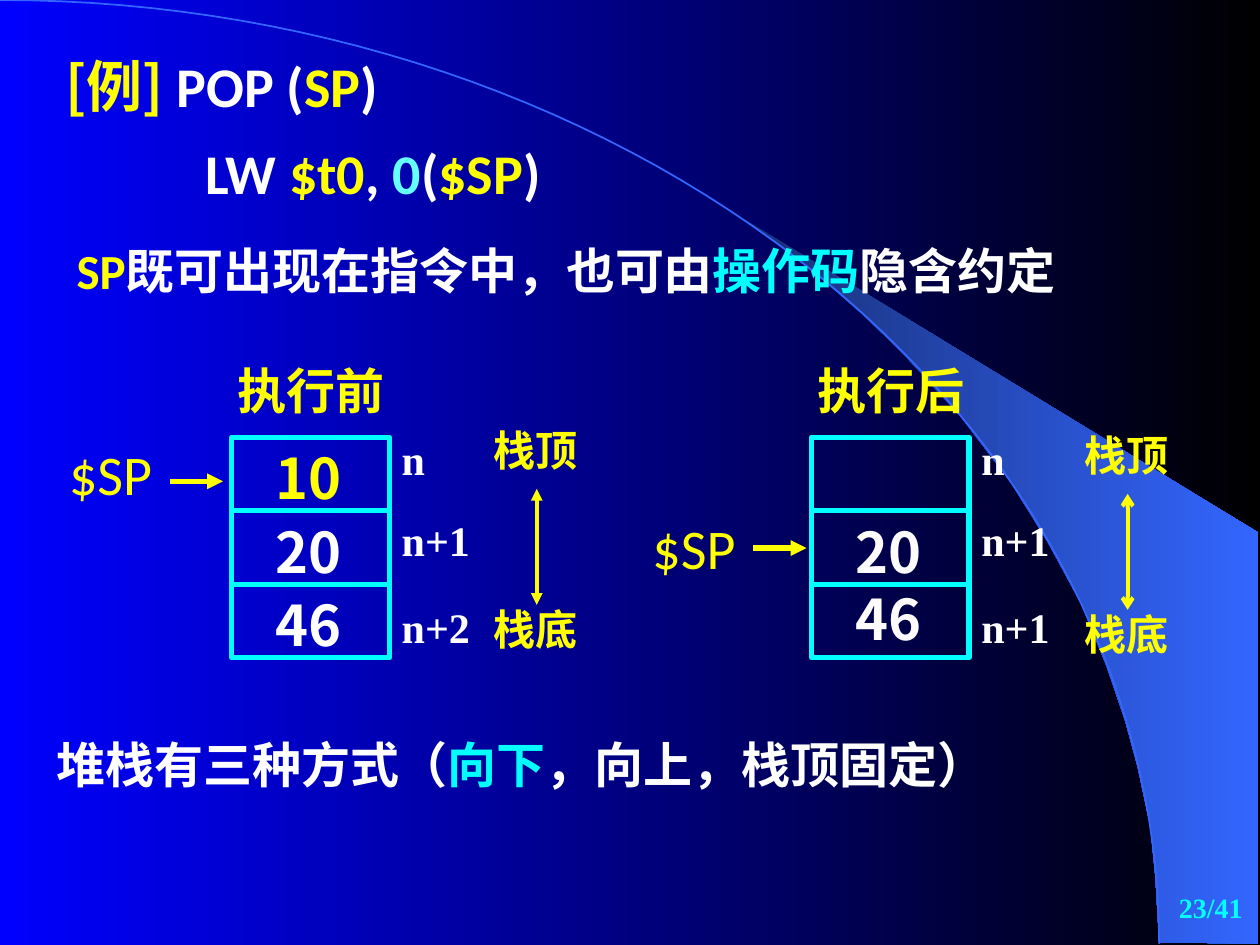
"""Build a slide that shows a stack before and after a POP."""
import math
import pptx
import pptx.dml.color
import pptx.enum.dml
import pptx.enum.shapes
import pptx.enum.text
import pptx.oxml
import pptx.oxml.ns
import pptx.util

Inches = pptx.util.Inches
Pt = pptx.util.Pt
ALIGN = pptx.enum.text.PP_ALIGN
HUES = {
    "yellow": "FFFF00", "white": "FFFFFF", "cyan": "00FFFF", "aqua": "66FFFF",
    "soft": "FDFBFB", "arc": "3366FF", "navy": "182F76", "blue": "0000FF",
    "black": "000000",
}
NOTO, CALIB, TIMES = "Noto Sans CJK SC", "Calibri", "Times New Roman"

TEXTS = [
    ((0.42, 0.36, 3.08, 0.64), 32, 1, [
        ("[例] ", "yellow", NOTO), ("POP (", "white", CALIB),
        ("SP", "yellow", CALIB), (")", "white", CALIB)]),
    ((1.53, 1.15, 5.67, 0.53), 32, 0.8, [
        ("LW ", "white", CALIB), ("$t0", "yellow", CALIB), (", ", "white", CALIB),
        ("0", "aqua", CALIB), ("(", "white", CALIB), ("$SP", "yellow", CALIB),
        (")", "white", CALIB)]),
    ((0.51, 1.86, 9.06, 0.57), 28, 1, [
        ("SP", "yellow", CALIB), ("既可出现在指令中，也可由", "white", TIMES),
        ("操作码", "cyan", TIMES), ("隐含约定", "white", TIMES)]),
    ((0.35, 5.78, 9.21, 0.57), 28, 1, [
        ("堆栈有三种方式（", "white", TIMES), ("向下", "cyan", TIMES),
        ("，向上，栈顶固定）", "white", TIMES)]),
]
STACKS = [
    {"left": 1.84, "title": "执行前", "head": (1.69, 1.55), "marks": ["n", "n+1", "n+2"],
     "cells": [("10", "yellow", 3.47), ("20", "white", 4.06), ("46", "white", 4.64)],
     "sp": (0.45, 3.54), "tip": (1.35, 3.82), "ends": (3.82, 3.4), "kind": "triangle"},
    {"left": 6.44, "title": "执行后", "head": (6.18, 1.78), "marks": ["n", "n+1", "n+1"],
     "cells": [("20", "soft", 4.06), ("46", "soft", 4.59)],
     "sp": (5.08, 4.13), "tip": (5.98, 4.35), "ends": (8.51, 3.44), "kind": "arrow"},
]
TOP, WIDE, TALL = 3.47, 1.25, 1.75
MARKS = (3.47, 4.11, 4.8)
ARC = (9.2, 7.49)
WEDGE = [
    (9.2, 7.48), (9.99, 7.49), (9.99, 4.23), (5.89, 1.73), (6.24, 1.99),
    (6.53, 2.22), (6.85, 2.5), (7.16, 2.8), (7.62, 3.3), (8.03, 3.84),
    (8.32, 4.31), (8.58, 4.79), (8.78, 5.28), (8.93, 5.72), (9.03, 6.09),
    (9.13, 6.56), (9.17, 6.96), (9.2, 7.48),
]

deck = pptx.Presentation()
deck.slide_width, deck.slide_height = Inches(10), Inches(7.5)
slide = deck.slides.add_slide(deck.slide_layouts[6])
shapes = slide.shapes


def hue(name):
    return pptx.dml.color.RGBColor.from_string(HUES[name])


def fade(fill, *names):
    fill.gradient()
    fill.gradient_angle = 0
    for stop, name in zip(fill.gradient_stops, names):
        stop.color.rgb = hue(name)


def stroke(shape, color, width):
    shape.line.color.rgb = hue(color)
    shape.line.width = Pt(width)


def write(text, at, size=24, color="yellow", face=NOTO, bold=True, gap=1,
          align=ALIGN.LEFT, grow=True):
    box = shapes.add_textbox(*map(Inches, at))
    frame = box.text_frame
    frame.word_wrap = True
    if grow:
        frame.auto_size = pptx.enum.text.MSO_AUTO_SIZE.SHAPE_TO_FIT_TEXT
    else:
        frame.vertical_anchor = pptx.enum.text.MSO_ANCHOR.MIDDLE
    para = frame.paragraphs[0]
    para.alignment = align
    para.line_spacing = gap
    for part, tint, name in [(text, color, face)] if isinstance(text, str) else text:
        run = para.add_run()
        run.text = part
        font = run.font
        font.size, font.bold, font.name = Pt(size), bold, name
        font.color.rgb = hue(tint)
        east = pptx.oxml.parse_xml(
            f'<a:ea {pptx.oxml.ns.nsdecls("a")} typeface="{NOTO}"/>')
        font._element.find(pptx.oxml.ns.qn("a:latin")).addnext(east)


def draw(start, end, color="yellow", width=3, head=None, tail=None):
    line = shapes.add_connector(
        pptx.enum.shapes.MSO_CONNECTOR.STRAIGHT, *map(Inches, start + end))
    stroke(line, color, width)
    edge = line.line._get_or_add_ln()
    for tag, kind in (("headEnd", head), ("tailEnd", tail)):
        if kind:
            edge.append(pptx.oxml.parse_xml(
                f'<a:{tag} {pptx.oxml.ns.nsdecls("a")} type="{kind}"/>'))
    line._element.spPr.append(pptx.oxml.parse_xml(
        f'<a:effectLst {pptx.oxml.ns.nsdecls("a")}/>'))


def trace(points, close):
    first, *rest = [(Inches(x), Inches(y)) for x, y in points]
    path = shapes.build_freeform(*first)
    path.add_line_segments(rest, close=close)
    shape = path.convert_to_shape()
    shape.shadow.inherit = False
    return shape


def stack(left, title, head, marks, cells, sp, tip, ends, kind):
    write("$SP", (*sp, 1.08, 0.53), size=32, face=CALIB, bold=False, gap=0.8)
    draw(tip, (tip[0] + 0.42, tip[1]), tail="triangle")
    write(title, (head[0], 2.81, head[1], 0.57), size=28, face=TIMES, align=ALIGN.CENTER)
    frame = shapes.add_shape(
        pptx.enum.shapes.MSO_SHAPE.RECTANGLE, *map(Inches, (left, TOP, WIDE, TALL)))
    frame.shadow.inherit = False
    frame.fill.background()
    stroke(frame, "cyan", 3)
    for row in (1, 2):
        y = TOP + row * TALL / 3
        draw((left, y), (left + WIDE, y), color="cyan")
    for value, color, y in cells:
        write(value, (left + 0.25, y, 1, 0.64), size=32, color=color)
    for mark, y in zip(marks, MARKS):
        write(mark, (left + WIDE, y, 1, 0.42), color="white", face=TIMES, gap=0.8)
    x, y = ends
    for label, drop in (("栈顶", 0), ("栈底", 1.42)):
        write(label, (x, y + drop, 1.02, 0.42), gap=0.8)
    draw((x + 0.44, y + 0.48), (x + 0.44, y + 1.4), width=2.25, head=kind, tail=kind)


fade(slide.background.fill, "blue", "black")
wedge = trace(WEDGE, True)
fade(wedge.fill, "navy", "arc")
wedge.line.fill.background()
turns = [math.radians(1.5 * step) for step in range(61)]
arc = trace([(ARC[0] * math.sin(t), ARC[1] * (1 - math.cos(t))) for t in turns], False)
arc.fill.background()
stroke(arc, "arc", 1)
for at, size, gap, runs in TEXTS:
    write(runs, at, size=size, gap=gap)
for item in STACKS:
    stack(**item)
write("23/41", (7.88, 6.95, 2.08, 0.5), size=16, color="cyan", face=TIMES,
      align=ALIGN.RIGHT, grow=False)
deck.save("out.pptx")
